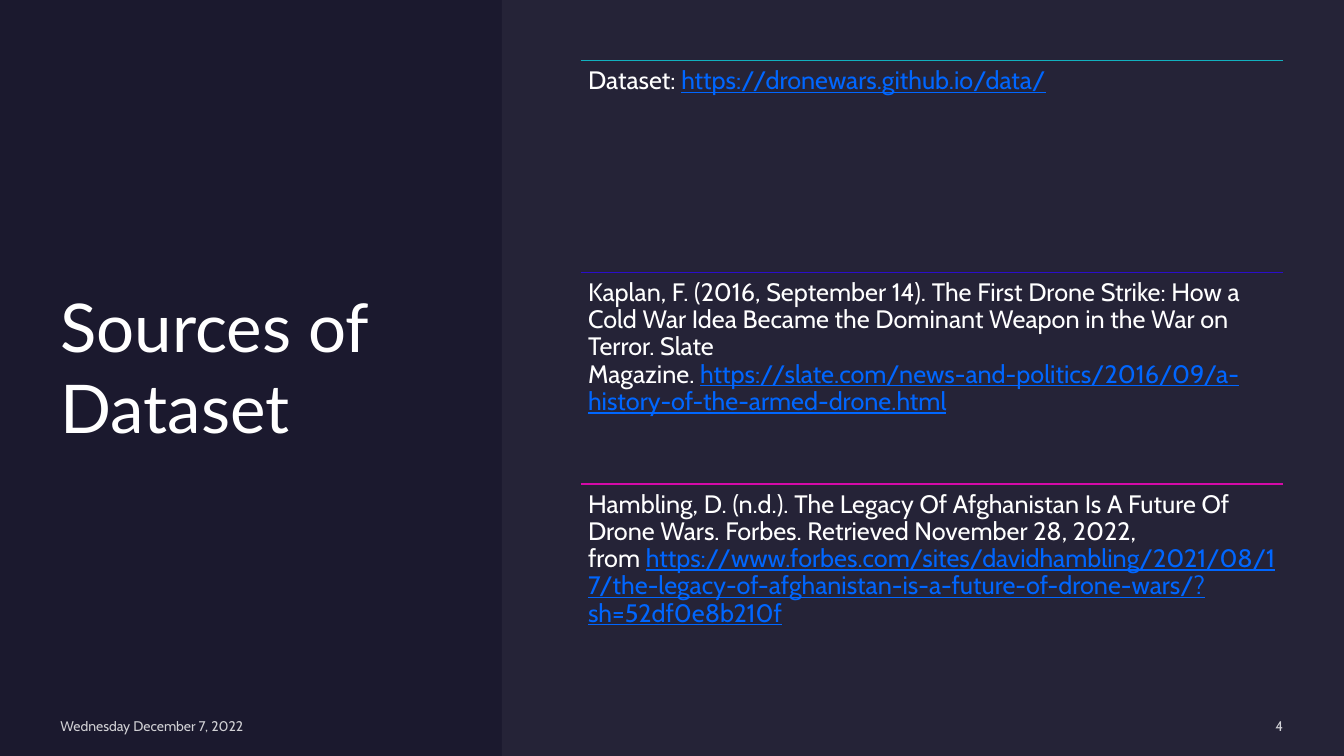
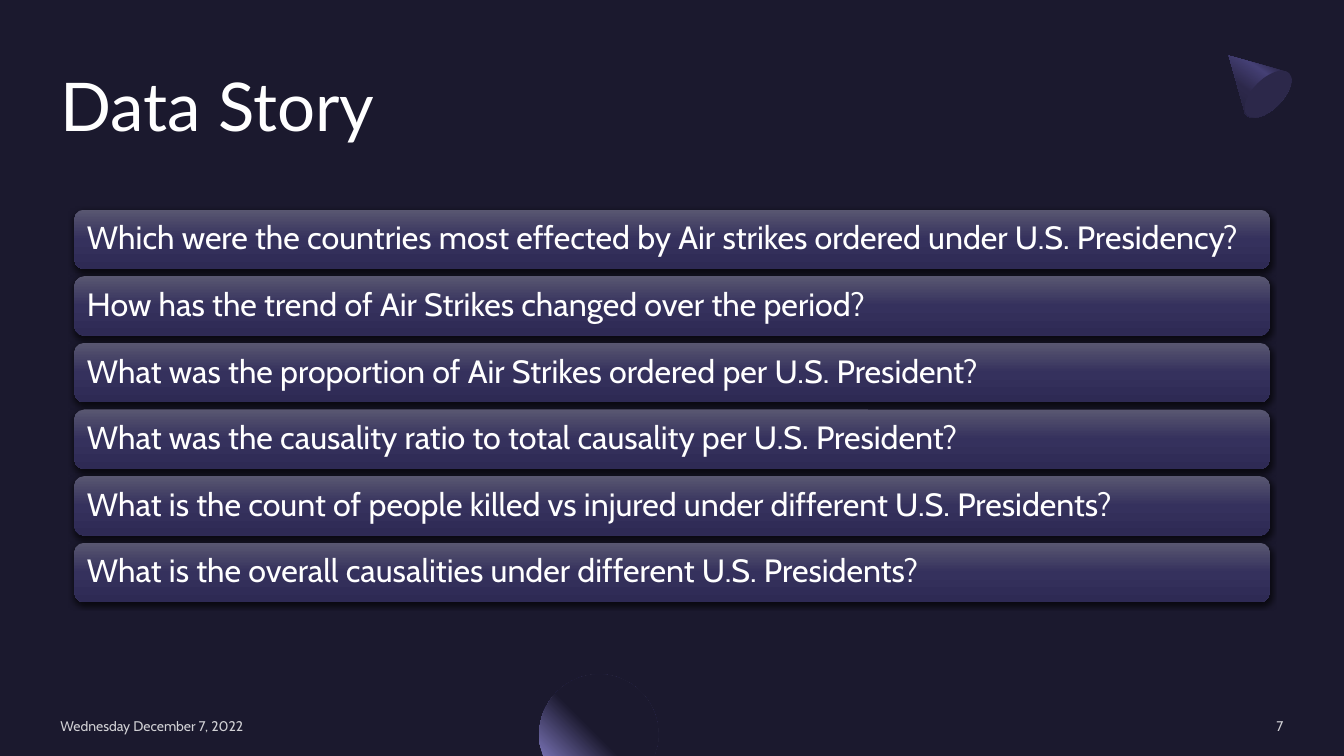
import pptx
import pptx.dml.color
import pptx.enum.shapes
import pptx.enum.text
import pptx.oxml
import pptx.oxml.ns
import pptx.util

Pt = pptx.util.Pt
qn = pptx.oxml.ns.qn
Shape = pptx.enum.shapes.MSO_SHAPE
Anchor = pptx.enum.text.MSO_ANCHOR
Align = pptx.enum.text.PP_ALIGN

NIGHT, WHITE, LINK, CONE = "1B192E", "FFFFFF", "0066FF", "2C284A"
HEAD = {"name": "Lato", "size": Pt(48)}
NOTE = {"name": "Cabin", "size": Pt(10)}
BODY = {"name": "Cabin", "size": Pt(18)}
ASK = {"name": "Cabin", "size": Pt(23)}
WIDE, HIGH = 960, 540
EDGE, RIGHT = 43.2, 916.6
DATE = "Wednesday December 7, 2022"
HARD = chr(160)  # no-break space

SOURCES = [
    ("12B1BF", "Dataset: ", "https://dronewars.github.io/data/"),
    ("2A0EC9",
     f"Kaplan, F. (2016, September 14).{HARD}The First Drone Strike: How a Cold War Idea "
     f"Became the Dominant Weapon in the War on Terror. Slate Magazine.{HARD}",
     "https://slate.com/news-and-politics/2016/09/a-history-of-the-armed-drone.html"),
    ("D40AA8",
     f"Hambling, D. (n.d.).{HARD}The Legacy Of Afghanistan Is A Future Of Drone Wars. "
     f"Forbes. Retrieved November 28, 2022, from{HARD}",
     "https://www.forbes.com/sites/davidhambling/2021/08/17/"
     "the-legacy-of-afghanistan-is-a-future-of-drone-wars/?sh=52df0e8b210f"),
]
QUESTIONS = [
    "Which were the countries most effected by Air strikes ordered under U.S. Presidency?",
    "How has the trend of Air Strikes changed over the period?",
    "What was the proportion of Air Strikes ordered per U.S. President?",
    "What was the causality ratio to total causality per U.S. President?",
    "What is the count of people killed vs injured under different U.S. Presidents?",
    "What is the overall causalities under different U.S. Presidents?",
]

# Outlines: a pair is a line to a point, six numbers are a Bézier curve.
CONE_EDGE = [
    (895.3, 32.3), (916.2, 69.4),
    (916.7, 69.9, 916.7, 71, 916.7, 72),
    (916.7, 77.1, 907.5, 82.2, 895.3, 82.2),
    (883.6, 82.2, 874.1, 77.6, 874.1, 71.5),
    (874.1, 71, 874.1, 70.5, 874.4, 69.4), (874.9, 68.9),
]
DOME_EDGE = [
    (427.7, 481.7),
    (451.4, 481.7, 470.2, 501.1, 470.2, 524.2),
    (470.2, 527.8, 470.2, 530.6, 469.4, 532.8),
    (467.3, 540), (388.1, 540), (385.9, 532.8),
    (385.2, 530.6, 385.2, 527.8, 385.2, 524.2),
    (385.2, 501.1, 404.6, 481.7, 427.7, 481.7),
]
LINEAR = '<a:lin ang="{}" scaled="0"/>'
CORNER = '<a:path path="circle"><a:fillToRect l="100000" b="100000"/></a:path>'


def color(code):
    return pptx.dml.color.RGBColor.from_string(code)


def xml(text):
    """Parse one DrawingML element."""
    head, tail = text.split(">", 1)
    slash = "/" if head.endswith("/") else ""
    space = pptx.oxml.ns.nsdecls("a")
    return pptx.oxml.parse_xml(f"{head.rstrip('/')} {space}{slash}>{tail}")


def fade(node, share):
    """Make every colour below node show at the given percentage."""
    for tint in node.iter(qn("a:srgbClr")):
        tint.append(xml(f'<a:alpha val="{share * 1000}"/>'))


def assign(item, values):
    for name, value in values.items():
        setattr(item, name, value)


def write(para, text, form, code=WHITE, **more):
    run = para.add_run()
    run.text = text
    assign(run.font, {**form, **more})
    run.font.color.rgb = color(code)
    return run


def setup(frame, inset=0, anchor=Anchor.TOP):
    """Fit the frame and return its first paragraph, aligned left."""
    sides = {f"margin_{side}": Pt(inset) for side in ("left", "top", "right", "bottom")}
    assign(frame, {**sides, "word_wrap": True, "vertical_anchor": anchor,
                   "auto_size": pptx.enum.text.MSO_AUTO_SIZE.NONE})
    para = frame.paragraphs[0]
    para.alignment = Align.LEFT
    return para


def place(item, *box):
    assign(item, dict(zip(("left", "top", "width", "height"), map(Pt, box))))


def textbox(slide, box, **form):
    return setup(slide.shapes.add_textbox(*map(Pt, box)).text_frame, **form)


def plain(shape, code=NIGHT):
    shape.shadow.inherit = False
    shape.fill.solid()
    shape.fill.fore_color.rgb = color(code)
    shape.line.fill.background()
    return shape


def block(slide, kind, box, code=NIGHT):
    return plain(slide.shapes.add_shape(kind, *map(Pt, box)), code)


def blend(shape, stops, course):
    """Swap the solid fill for a gradient."""
    marks = "".join(f'<a:gs pos="{pos * 1000}"><a:srgbClr val="{code}"/></a:gs>'
                    for pos, code in stops)
    fill = xml(f'<a:gradFill rotWithShape="1"><a:gsLst>{marks}</a:gsLst>{course}</a:gradFill>')
    props = shape._element.spPr
    props.replace(props.find(qn("a:solidFill")), fill)


def bend(shape, edge):
    """Turn straight segments into the curves that the outline gives."""
    lines = list(shape._element.iter(qn("a:lnTo")))
    for line, part in zip(lines, edge[1:]):
        if len(part) == 6:
            dots = "".join(f'<a:pt x="{Pt(x) - shape.left}" y="{Pt(y) - shape.top}"/>'
                           for x, y in zip(part[::2], part[1::2]))
            curve = xml(f"<a:cubicBezTo>{dots}</a:cubicBezTo>")
            line.getparent().replace(line, curve)


def outline(slide, edge, stops, course):
    first, *rest = [tuple(map(Pt, part[-2:])) for part in edge]
    build = slide.shapes.build_freeform(*first)
    build.add_line_segments(rest)
    shape = plain(build.convert_to_shape())
    bend(shape, edge)
    blend(shape, stops, course)
    return shape


def rule(slide, top, code):
    line = slide.shapes.add_connector(pptx.enum.shapes.MSO_CONNECTOR.STRAIGHT,
                                      Pt(414.7), Pt(top), Pt(RIGHT), Pt(top))
    line.line.color.rgb = color(code)
    line.line.width = Pt(1)
    line._element.spPr.append(xml("<a:effectLst/>"))


def source(slide, top, high, code, text, link):
    rule(slide, top, code)
    para = textbox(slide, (414.9, top, 501.9, high), inset=5.2)
    para.line_spacing = 0.9
    write(para, text, BODY)
    write(para, link, BODY, LINK, underline=True)


def question(slide, top, text):
    bar = block(slide, Shape.ROUNDED_RECTANGLE, (53.1, top, 853.9, 42.5))
    blend(bar, [(0, "595771"), (50, "35315D"), (100, "2E2A54")], LINEAR.format(90 * 60000))
    bar._element.spPr.find(qn("a:effectLst")).append(xml(
        f'<a:outerShdw blurRad="{Pt(4.5)}" dist="{Pt(1.5)}" dir="5400000" rotWithShape="0">'
        '<a:srgbClr val="000000"><a:alpha val="63000"/></a:srgbClr></a:outerShdw>'))
    para = setup(bar.text_frame, 7, Anchor.MIDDLE)
    para.line_spacing = 0.9
    write(para, text, ASK)


def footer(slide, number):
    for left, width, text, align in ((EDGE, 207.4, DATE, Align.LEFT),
                                     (783.4, 133.2, number, Align.RIGHT)):
        para = textbox(slide, (left, 512.6, width, 12.2), anchor=Anchor.MIDDLE)
        para.alignment = align
        fade(write(para, text, NOTE)._r, 80)


def start(deck, title, box, anchor, number):
    """Add a slide with its backdrop, title and footer."""
    slide = deck.slides.add_slide(deck.slide_layouts.get_by_name("Title Only"))
    back = block(slide, Shape.RECTANGLE, (0, 0, WIDE, HIGH))
    slide.shapes.title._element.addprevious(back._element)
    place(slide.shapes.title, *box)
    write(setup(slide.shapes.title.text_frame, anchor=anchor), title, HEAD)
    footer(slide, number)
    return slide


def sources(deck):
    slide = start(deck, "Sources of Dataset", (EDGE, 43.2, 280.8, 436.3), Anchor.MIDDLE, "4")
    panel = block(slide, Shape.RECTANGLE, (358.4, 0, 601.6, HIGH), "E4E3F0")
    fade(panel._element.spPr, 5)
    high = 151.2
    for row, entry in enumerate(SOURCES):
        source(slide, 43.4 + row * high, high, *entry)


def story(deck):
    slide = start(deck, "Data Story", (EDGE, 45.7, 428.4, 105), Anchor.TOP, "7")
    cone = outline(slide, CONE_EDGE, [(30, CONE), (40, "454075"), (60, CONE), (100, NIGHT)],
                   LINEAR.format(170 * 60000))
    cone.rotation = 315
    block(slide, Shape.OVAL, (895, 46.1, 21.6, 42.5), CONE).rotation = 45
    outline(slide, DOME_EDGE, [(60, NIGHT), (100, "7771B2")], CORNER)
    for row, text in enumerate(QUESTIONS):
        question(slide, 149.7 + row * 47.6, text)


def main():
    deck = pptx.Presentation()
    assign(deck, {"slide_width": Pt(WIDE), "slide_height": Pt(HIGH)})
    back = deck.slide_master.background.fill
    back.solid()
    back.fore_color.rgb = color(NIGHT)
    sources(deck)
    story(deck)
    deck.save("out.pptx")


if __name__ == "__main__":
    main()
